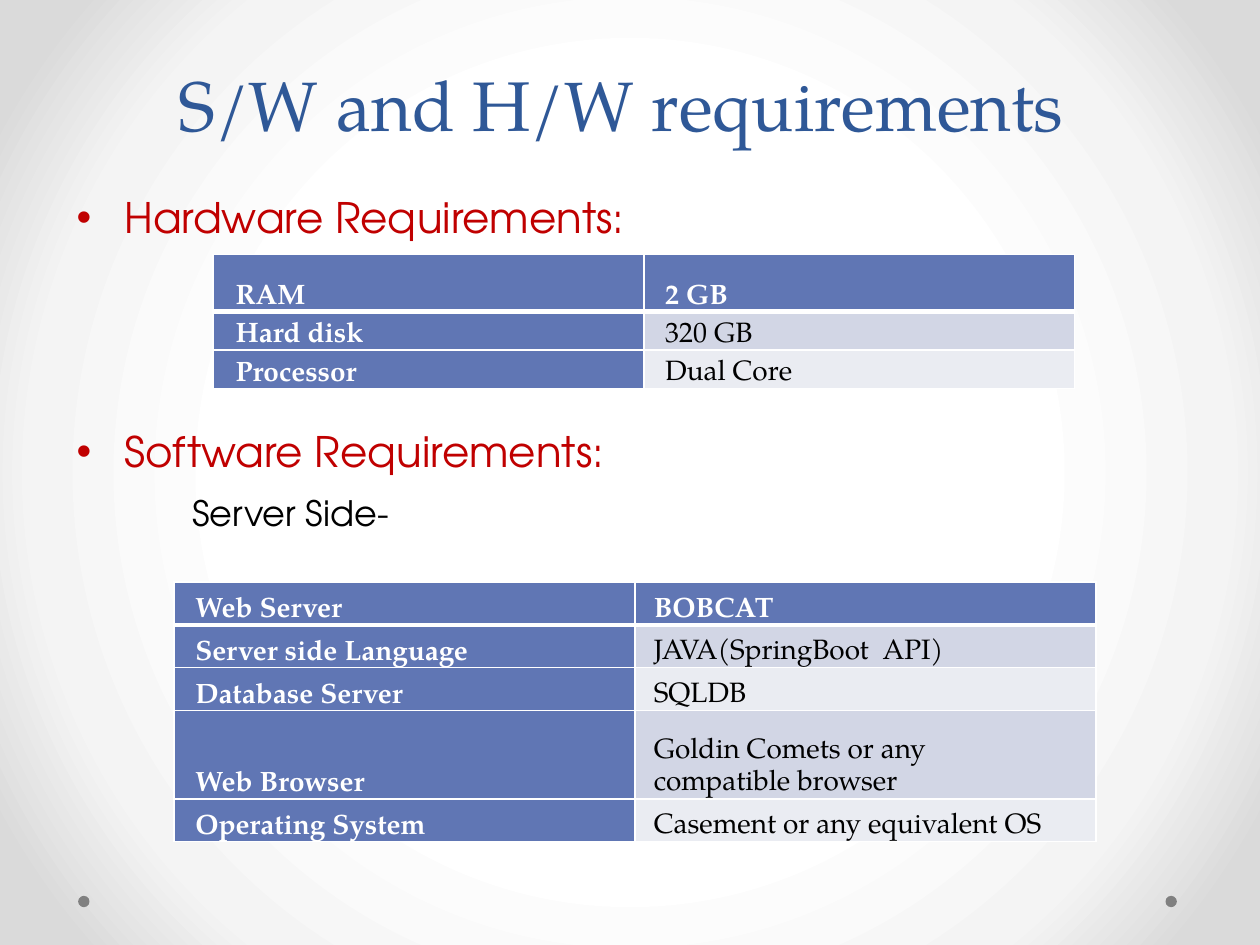
from dataclasses import dataclass, field

from pptx import Presentation
from pptx.dml.color import RGBColor as Rgb
from pptx.enum.shapes import MSO_SHAPE as Shape
from pptx.enum.text import MSO_ANCHOR as Anchor, PP_ALIGN as Align
from pptx.oxml import parse_xml
from pptx.oxml.ns import nsdecls
from pptx.oxml.xmlchemy import OxmlElement as Element
from pptx.util import Inches, Pt

COLS, ROWS = 100, 75
WIDTH, HEIGHT = Inches(10), Inches(7.5)


@dataclass(frozen=True)
class Theme:
    serif: str = "TeX Gyre Pagella"
    sans: str = "TeX Gyre Adventor"
    title: str = "2F5897"
    heading: str = "C00000"
    ink: str = "000000"
    white: str = "FFFFFF"
    label: str = "6076B4"
    bands: tuple = ("EAECF2", "D2D6E5")
    dot: str = "808080"
    glow: tuple = ((50, "FFFFFF"), (76, "F4F4F4"), (92, "DADADA"))
    title_size: int = 40
    heading_size: int = 24
    side_size: int = 20
    cell_size: int = 16


@dataclass(frozen=True)
class Box:
    left: float
    top: float
    width: float
    height: float

    def emu(self) -> tuple:
        return across(self.left), down(self.top), across(self.width), down(self.height)


@dataclass(frozen=True)
class Line:
    text: str
    size: int
    color: str
    before: float
    margin: float
    bullet: bool = False


@dataclass(frozen=True)
class Requirements:
    left: float
    top: float
    width: float
    heights: tuple
    indents: tuple
    entries: tuple = field(default_factory=tuple)


THEME = Theme()
TITLE = Box(4.3, 2.1, 90, 9.9)
BODY = Box(5.1, 14.7, 90, 30)
DOTS = (Box(92.5, 71.1, 0.9, 0.9), Box(6.2, 71.1, 0.9, 0.9))
LINES = (
    Line("Hardware Requirements:", THEME.heading_size, THEME.heading, 4.8, 3.8, True),
    Line("Software Requirements:", THEME.heading_size, THEME.heading, 105, 3.8, True),
    Line("Server Side-", THEME.side_size, THEME.ink, 8.7, 9.2),
)
SOFTWARE = Requirements(13.8, 46.2, 73.2, (3.4, 3.4, 3.4, 7, 3.4), (1, 0.8), (
    ("Web Server", "BOBCAT"),
    ("Server side Language", "JAVA(SpringBoot  API)"),
    ("Database Server", "SQLDB"),
    ("Web Browser", "Goldin Comets or any\ncompatible browser"),
    ("Operating System", "Casement or any equivalent OS"),
))
HARDWARE = Requirements(16.9, 20.2, 68.4, (4.5, 2.55, 2.55), (1.1, 1), (
    ("RAM", "2 GB"),
    ("Hard disk", "320 GB"),
    ("Processor", "Dual Core"),
))


def across(columns: float) -> int:
    return round(WIDTH * columns / COLS)


def down(rows: float) -> int:
    return round(HEIGHT * rows / ROWS)


def apply(target, formats: dict) -> None:
    for name, value in formats.items():
        setattr(target, name, value)


def style(font, name: str, size: int, color: str, bold: bool = False) -> None:
    apply(font, {"name": name, "size": Pt(size), "bold": bold})
    font.color.rgb = Rgb.from_string(color)


def paint_background(slide) -> None:
    slide.background.fill.solid()
    solid = slide.background.fill._xPr.find(".//{*}solidFill")
    stops = "".join(
        f'<a:gs pos="{share * 1000}"><a:srgbClr val="{color}"/></a:gs>'
        for share, color in THEME.glow)
    glow = parse_xml(
        f'<a:gradFill {nsdecls("a")} rotWithShape="1"><a:gsLst>{stops}</a:gsLst>'
        '<a:path path="circle"><a:fillToRect l="50000" t="50000" r="50000" b="50000"/>'
        '</a:path></a:gradFill>')
    solid.getparent().replace(solid, glow)


def draw_dot(slide, box: Box) -> None:
    dot = slide.shapes.add_shape(Shape.OVAL, *box.emu())
    dot.shadow.inherit = False
    dot.fill.solid()
    dot.fill.fore_color.rgb = Rgb.from_string(THEME.dot)
    dot.line.fill.background()


def draw_title(slide, text: str) -> None:
    frame = slide.shapes.add_textbox(*TITLE.emu()).text_frame
    apply(frame, {"word_wrap": True, "vertical_anchor": Anchor.BOTTOM, "text": text})
    heading = frame.paragraphs[0]
    apply(heading, {"alignment": Align.CENTER, "line_spacing": Pt(58)})
    style(heading.runs[0].font, THEME.serif, THEME.title_size, THEME.title)


def draw_body(slide, lines: tuple) -> None:
    frame = slide.shapes.add_textbox(*BODY.emu()).text_frame
    apply(frame, {"word_wrap": True, "text": "\n".join(line.text for line in lines)})
    for paragraph, line in zip(frame.paragraphs, lines):
        paragraph.space_before = Pt(line.before)
        style(paragraph.runs[0].font, THEME.sans, line.size, line.color)
        properties = paragraph._p.get_or_add_pPr()
        properties.set("marL", str(across(line.margin)))
        if line.bullet:
            properties.set("indent", str(-across(line.margin)))
            for tag, key, value in (("a:buFont", "typeface", "Arial"),
                                    ("a:buChar", "char", "•")):
                mark = Element(tag)
                mark.set(key, value)
                properties.append(mark)


def draw_borders(cell, widths: dict) -> None:
    properties = cell._tc.get_or_add_tcPr()
    for place, (side, points) in enumerate(widths.items()):
        properties.insert(place, parse_xml(
            f'<a:ln{side} {nsdecls("a")} w="{Pt(points)}"><a:solidFill>'
            f'<a:srgbClr val="{THEME.white}"/></a:solidFill></a:ln{side}>'))


def fill_cell(cell, text: str, row: int, column: int, indent: float) -> None:
    is_label = row == 0 or column == 0
    apply(cell, {"text": text, "vertical_anchor": Anchor.BOTTOM,
                 "margin_left": across(0.7), "margin_right": across(0.7),
                 "margin_top": 0, "margin_bottom": 0})
    cell.fill.solid()
    cell.fill.fore_color.rgb = Rgb.from_string(
        THEME.label if is_label else THEME.bands[row % 2])
    draw_borders(cell, {"L": 1, "R": 1, "T": 3 if row == 1 else 1,
                        "B": 3 if row == 0 else 1})
    for paragraph in cell.text_frame.paragraphs:
        paragraph.line_spacing = 1.15
        paragraph._p.get_or_add_pPr().set("marL", str(across(indent)))
        style(paragraph.runs[0].font, THEME.serif, THEME.cell_size,
              THEME.white if is_label else THEME.ink, is_label)


def draw_requirements(slide, needs: Requirements) -> None:
    box = Box(needs.left, needs.top, needs.width, sum(needs.heights))
    table = slide.shapes.add_table(len(needs.entries), 2, *box.emu()).table
    for row, (entry, height) in enumerate(zip(needs.entries, needs.heights)):
        table.rows[row].height = down(height)
        for column, (text, indent) in enumerate(zip(entry, needs.indents)):
            fill_cell(table.cell(row, column), text, row, column, indent)


def main() -> None:
    """Build the software and hardware requirements slide."""
    deck = Presentation()
    apply(deck, {"slide_width": WIDTH, "slide_height": HEIGHT})
    slide = deck.slides.add_slide(deck.slide_layouts[6])
    paint_background(slide)
    for dot in DOTS:
        draw_dot(slide, dot)
    draw_title(slide, "S/W and H/W requirements")
    draw_body(slide, LINES)
    for needs in (SOFTWARE, HARDWARE):
        draw_requirements(slide, needs)
    deck.save("out.pptx")


if __name__ == "__main__":
    main()
